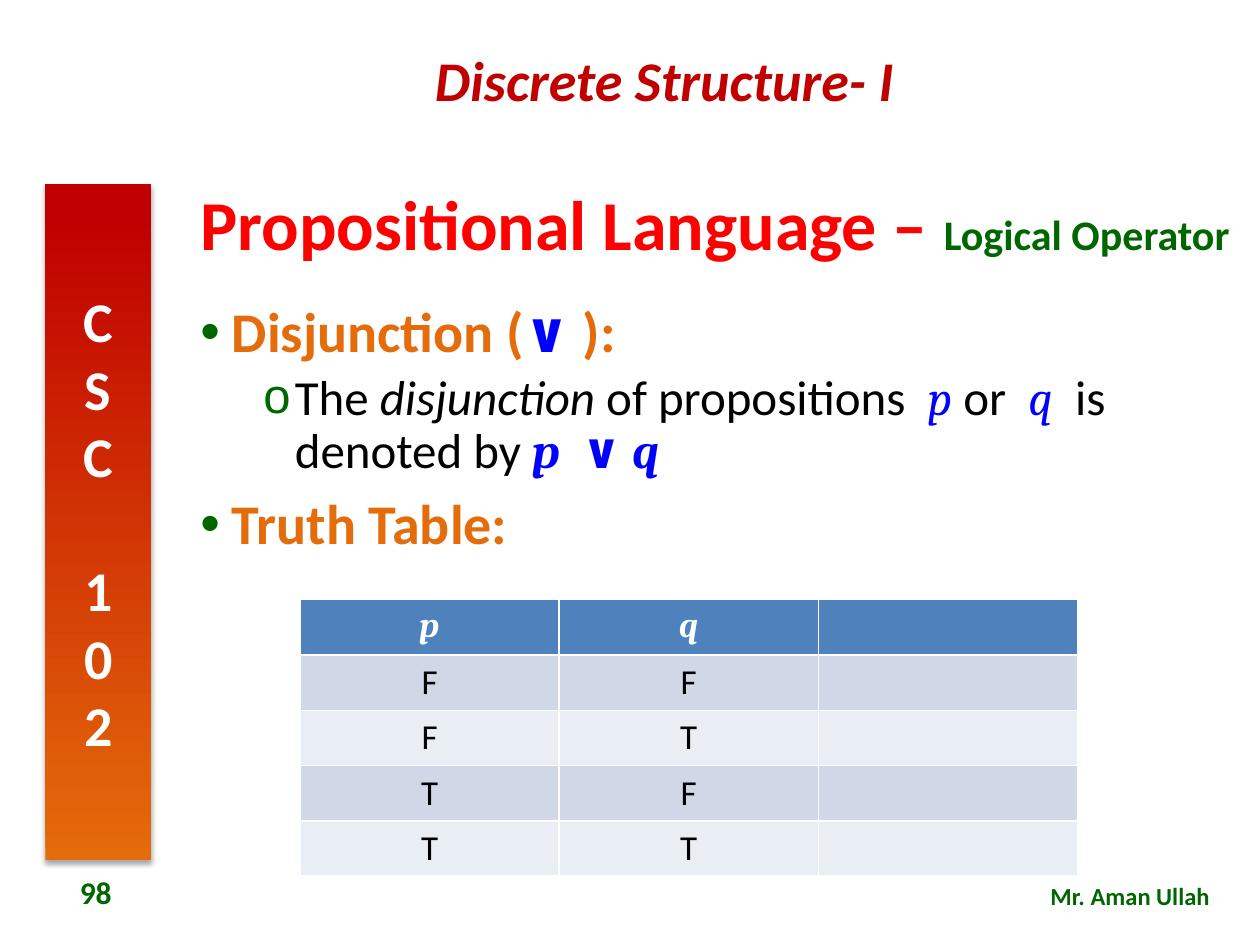
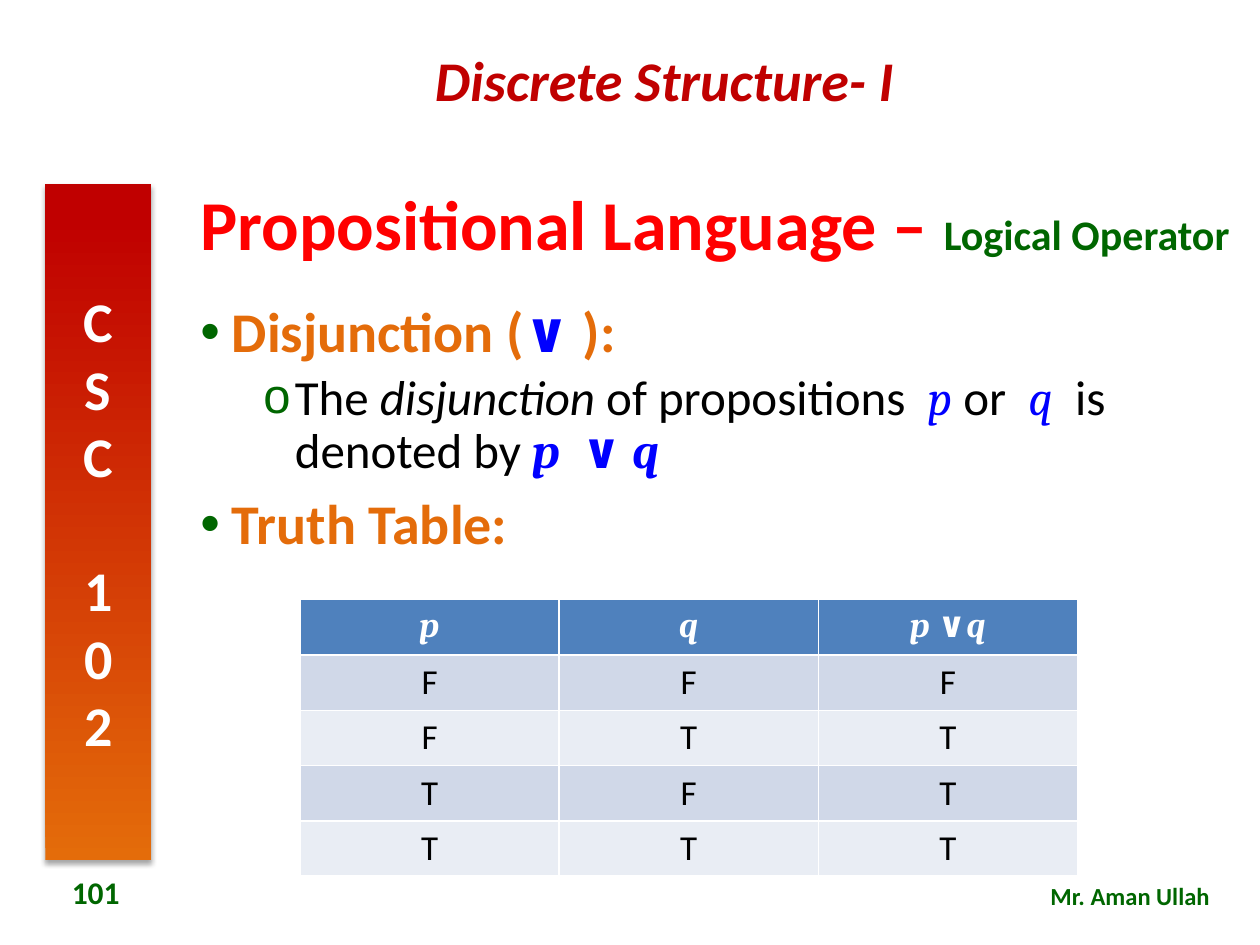
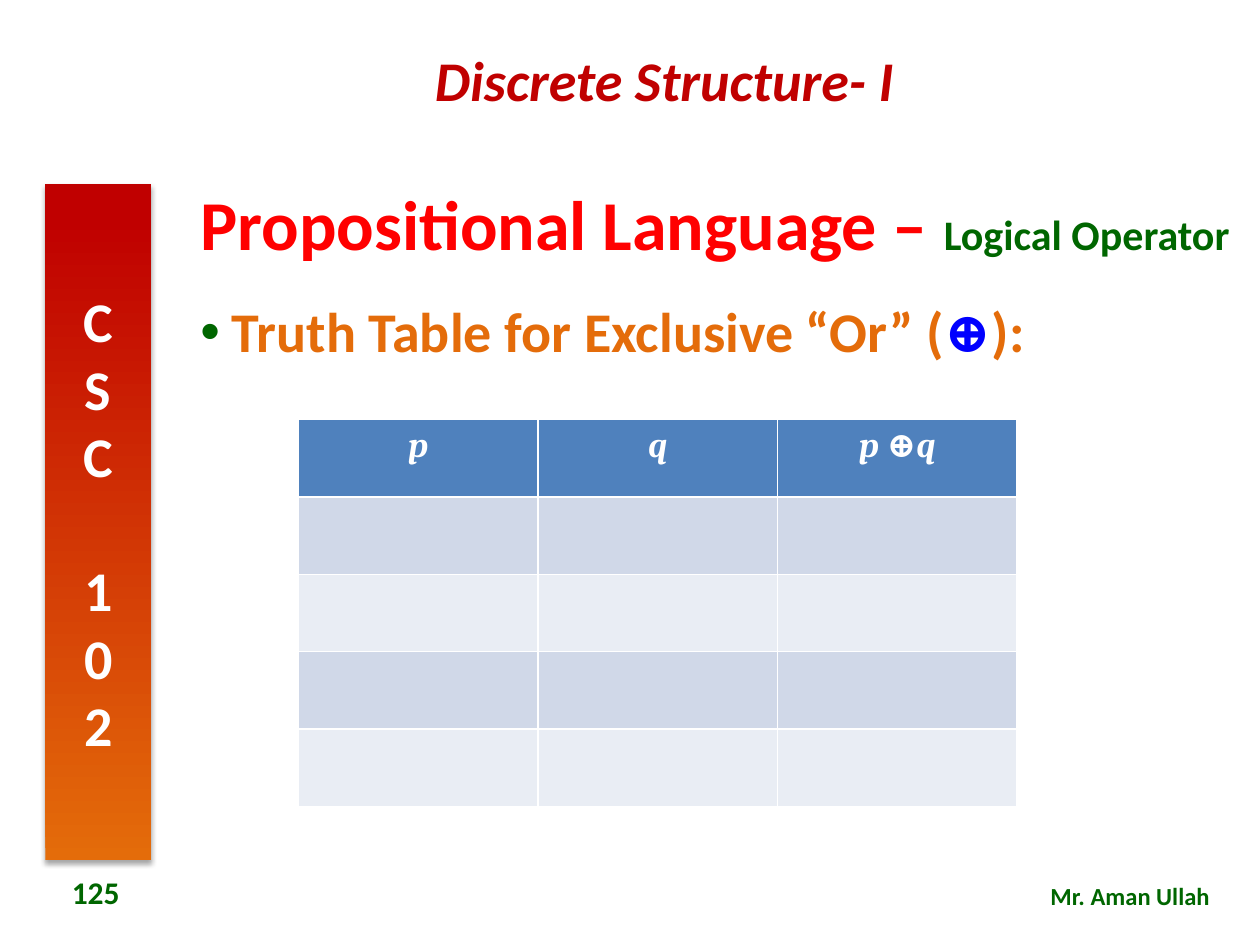
"""Build three slides on logical operators and their truth tables."""
import pptx
import pptx.dml.color
import pptx.enum.shapes
import pptx.enum.text
import pptx.oxml
import pptx.oxml.ns
import pptx.util
from lxml import etree

Pt = pptx.util.Pt
ALIGN = pptx.enum.text.PP_ALIGN
ANCHOR = pptx.enum.text.MSO_ANCHOR

RED, DARK_RED, ORANGE = "FF0000", "C00000", "E46C0A"
GREEN, BLUE, WHITE, BLACK = "006600", "0000FF", "FFFFFF", "000000"
HEADER_FILL, BAND_FILLS = "4F81BD", ("D0D8E8", "E9EDF4")

HEADING = dict(size=32, color=ORANGE, bold=True)
HEADING_SYMBOL = dict(size=32, color=BLUE, bold=True, font="Cambria")
PLAIN = dict(size=28, color=BLACK, bold=False)
VARIABLE = dict(size=28, color=BLUE, bold=False, italic=True, font="Cambria")
FORMULA = dict(VARIABLE, bold=True)
HEADER = dict(size=20, color=WHITE, bold=True, italic=True, font="Cambria")
HEADER_SYMBOL = dict(HEADER, italic=False)
CELL = dict(size=20, color=BLACK, bold=False)

DISJUNCTION = [
    (0, [("Disjunction (", HEADING), ("∨", HEADING_SYMBOL), (" ):", HEADING)]),
    (1, [("The ", PLAIN), ("disjunction", dict(PLAIN, italic=True)),
         (" of propositions  ", PLAIN), ("p", VARIABLE), (" or  ", PLAIN),
         ("q ", VARIABLE), (" is denoted by ", PLAIN), ("p  ", FORMULA),
         ("∨ ", dict(FORMULA, italic=False)), ("q", FORMULA)]),
    (0, [("Truth Table:", HEADING)]),
]
EXCLUSIVE_OR = [
    (0, [("Truth Table for Exclusive “Or” (", HEADING), ("⊕", HEADING_SYMBOL),
         ("):", HEADING)]),
]
INPUTS = ["FF", "FT", "TF", "TT"]
OUTPUTS = ["FFF", "FTT", "TFT", "TTT"]


def rgb(value):
    """Turn a hex string into a colour."""
    return pptx.dml.color.RGBColor.from_string(value)


def write(paragraph, text, size=18, color=BLACK, bold=True, italic=False, font="Calibri"):
    """Add a formatted run to a paragraph."""
    run = paragraph.add_run()
    run.text = text
    run.font.size = Pt(size)
    run.font.name = font
    run.font.bold = bold
    run.font.italic = italic
    run.font.color.rgb = rgb(color)


def place(shape, left, top, width, height):
    """Move and size a shape in points."""
    shape.left, shape.top = Pt(left), Pt(top)
    shape.width, shape.height = Pt(width), Pt(height)


def add_label(slide, text, box, align, anchor=ANCHOR.TOP, **style):
    """Add a text box with one line of text."""
    frame = slide.shapes.add_textbox(*map(Pt, box)).text_frame
    frame.word_wrap = True
    frame.vertical_anchor = anchor
    frame.paragraphs[0].alignment = align
    write(frame.paragraphs[0], text, **style)


def add_shadow(shape):
    """Give a shape a soft shadow below it."""
    shape.shadow.inherit = False
    effects = shape._element.spPr.find(pptx.oxml.ns.qn("a:effectLst"))
    effects.append(pptx.oxml.parse_xml(
        f'<a:outerShdw {pptx.oxml.ns.nsdecls("a")} blurRad="{Pt(3.1)}" dist="{Pt(1.8)}" '
        'dir="5400000" rotWithShape="0"><a:srgbClr val="000000">'
        '<a:alpha val="35000"/></a:srgbClr></a:outerShdw>'))


def add_course_band(slide):
    """Add the gradient band with the stacked course code."""
    band = slide.shapes.add_shape(
        pptx.enum.shapes.MSO_SHAPE.RECTANGLE, *map(Pt, (25.9, 105.1, 60.5, 386.6)))
    band.line.fill.background()
    band.fill.gradient()
    band.fill.gradient_angle = 90
    for stop, position, color in zip(band.fill.gradient_stops, (0, 0.95), (ORANGE, DARK_RED)):
        stop.position = position
        stop.color.rgb = rgb(color)
    add_shadow(band)
    frame = band.text_frame
    frame._txBody.bodyPr.set("vert", "wordArtVert")
    frame.paragraphs[0].alignment = ALIGN.CENTER
    write(frame.paragraphs[0], "CSC 102", size=32, color=WHITE)


def set_bullet(paragraph, level):
    """Set the indent and the green bullet of a list level."""
    properties = paragraph._p.get_or_add_pPr()
    properties.set("marL", str(Pt((18, 54)[level])))
    properties.set("indent", str(Pt(-18)))
    color = etree.SubElement(properties, pptx.oxml.ns.qn("a:buClr"))
    etree.SubElement(color, pptx.oxml.ns.qn("a:srgbClr")).set("val", GREEN)
    etree.SubElement(properties, pptx.oxml.ns.qn("a:buChar")).set("char", "•o"[level])


def fill_title(title):
    """Write the heading shared by the slides."""
    place(title, 107.3, 97.9, 604.1, 64.1)
    frame = title.text_frame
    frame.auto_size = pptx.enum.text.MSO_AUTO_SIZE.NONE
    frame.vertical_anchor = ANCHOR.MIDDLE
    paragraph = frame.paragraphs[0]
    paragraph.alignment = ALIGN.LEFT
    paragraph.line_spacing = 0.9
    write(paragraph, "Propositional Language – ", size=40, color=RED)
    write(paragraph, "Logical Operator", size=24, color=GREEN)


def fill_body(body, items):
    """Write a bulleted list of (level, runs) items."""
    place(body, 107.3, 169.9, 604.1, 316.8)
    frame = body.text_frame
    frame.auto_size = pptx.enum.text.MSO_AUTO_SIZE.NONE
    for index, (level, runs) in enumerate(items):
        paragraph = frame.add_paragraph() if index else frame.paragraphs[0]
        paragraph.level = level
        paragraph.alignment = ALIGN.LEFT if level else ALIGN.JUSTIFY
        paragraph.line_spacing = 0.9
        paragraph.space_before = Pt((10, 5)[level] if index else 0)
        set_bullet(paragraph, level)
        for text, style in runs:
            write(paragraph, text, **style)


def header_runs(symbol):
    """Return the runs of a header that joins p and q."""
    return [("p ", HEADER), (symbol, HEADER_SYMBOL), ("q", HEADER)]


def add_truth_table(slide, left, top, column_width, row_height, result, values):
    """Add a three-column truth table."""
    rows = [[[("p", HEADER)], [("q", HEADER)], result]]
    rows += [[[(letter, CELL)] for letter in row] for row in values]
    table = slide.shapes.add_table(
        len(rows), 3, Pt(left), Pt(top), Pt(3 * column_width), Pt(len(rows) * row_height)).table
    for row_index, row in enumerate(rows):
        fill = BAND_FILLS[(row_index - 1) % 2] if row_index else HEADER_FILL
        for cell in table.rows[row_index].cells:
            cell.fill.solid()
            cell.fill.fore_color.rgb = rgb(fill)
        for cell, runs in zip(table.rows[row_index].cells, row):
            paragraph = cell.text_frame.paragraphs[0]
            paragraph.alignment = ALIGN.CENTER
            for text, style in runs:
                write(paragraph, text, **style)


def add_course_slide(presentation, number, items):
    """Add a slide with the shared parts and a list."""
    slide = presentation.slides.add_slide(presentation.slide_layouts[1])
    add_label(slide, "Discrete Structure- I", (151.9, 22.3, 455.8, 46.1), ALIGN.CENTER,
              size=32, color=DARK_RED, italic=True)
    add_course_band(slide)
    add_label(slide, "Mr. Aman Ullah", (489.6, 499.7, 208.8, 24.5), ALIGN.RIGHT,
              size=14, color=GREEN)
    add_label(slide, str(number), (17.3, 495.4, 74.9, 28.8), ALIGN.CENTER,
              anchor=ANCHOR.MIDDLE, size=18, color=GREEN)
    fill_title(slide.shapes.title)
    fill_body(slide.placeholders[1], items)
    return slide


def main():
    """Build and save the presentation."""
    presentation = pptx.Presentation()
    presentation.slide_width, presentation.slide_height = Pt(720), Pt(540)
    for number, result, values in ((98, [], INPUTS), (101, header_runs("∨"), OUTPUTS)):
        slide = add_course_slide(presentation, number, DISJUNCTION)
        add_truth_table(slide, 171.4, 342.7, 148.1, 31.6, result, values)
    slide = add_course_slide(presentation, 125, EXCLUSIVE_OR)
    add_truth_table(slide, 170.6, 239.8, 136.9, 44.2, header_runs("⊕"), [""] * 4)
    presentation.save("out.pptx")


if __name__ == "__main__":
    main()
